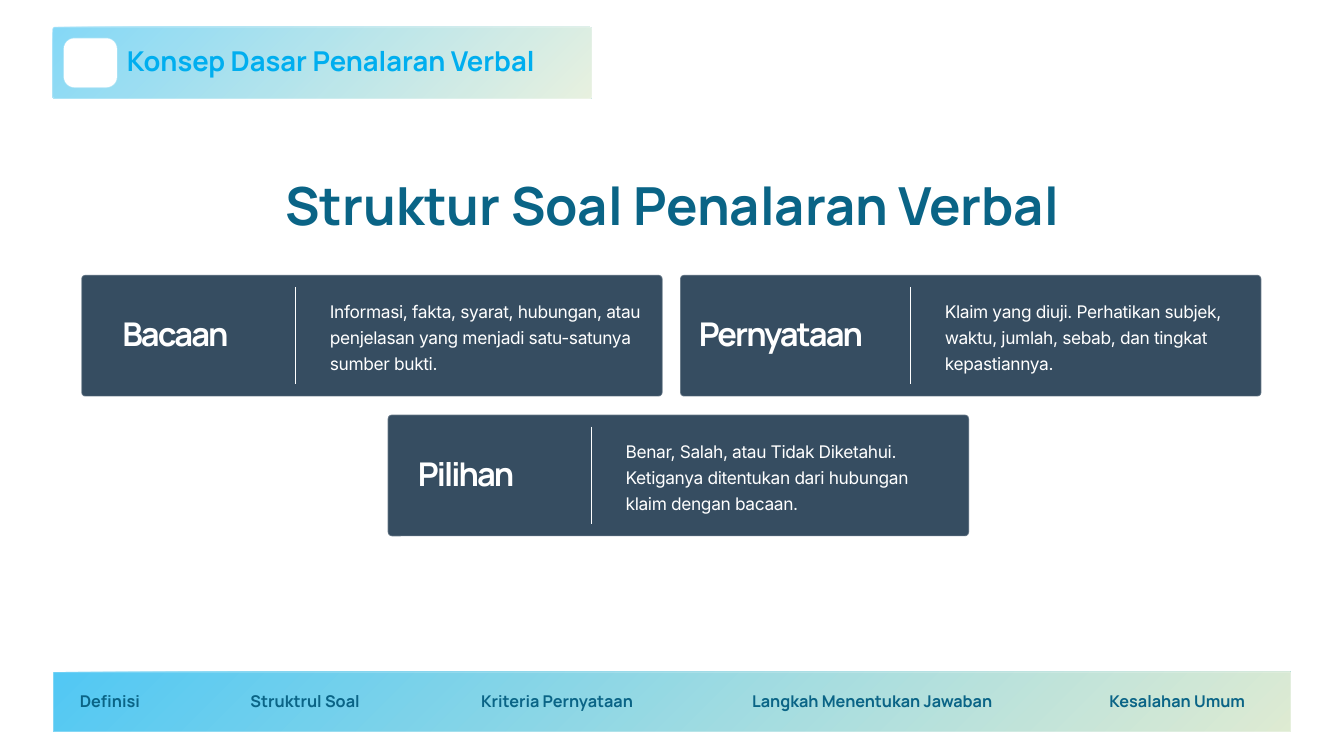
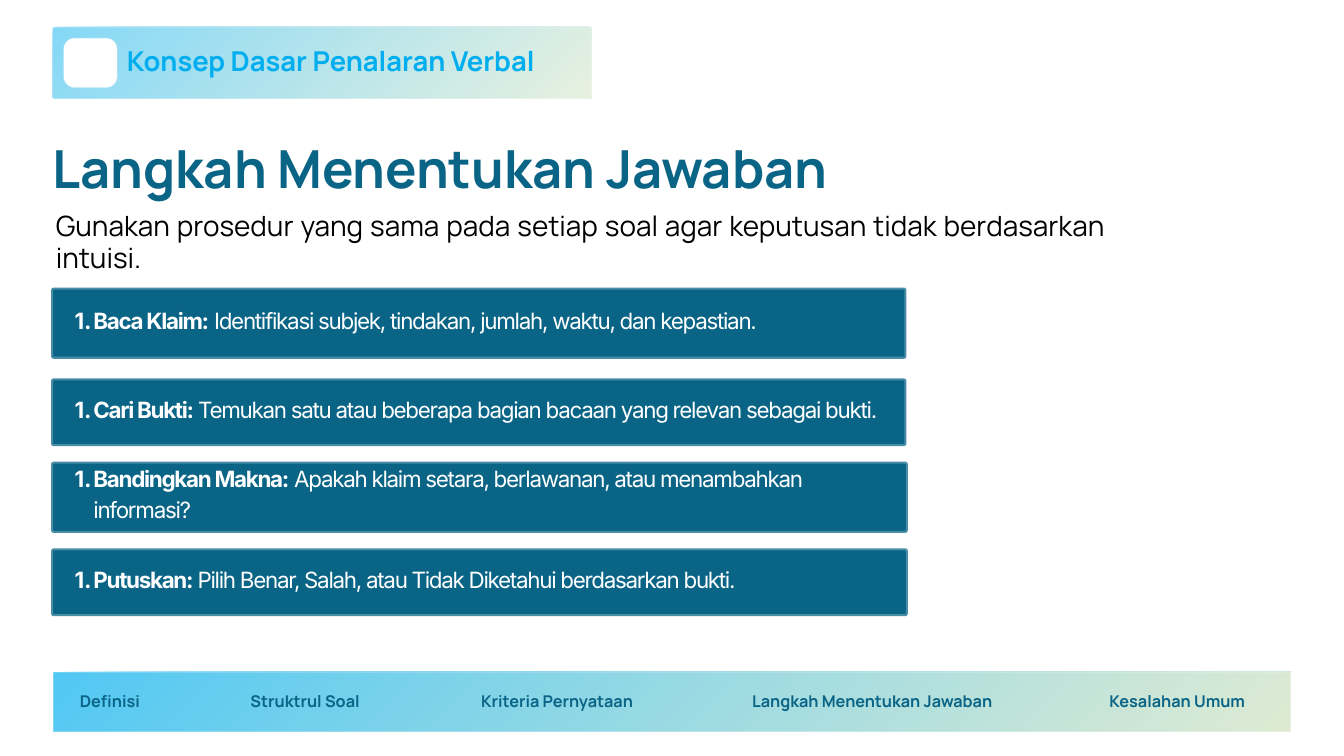
import pptx
import pptx.dml.color
import pptx.enum.shapes
import pptx.enum.text
import pptx.oxml
import pptx.oxml.ns
import pptx.util
from lxml import etree

Inches = pptx.util.Inches
Pt = pptx.util.Pt
RGB = pptx.dml.color.RGBColor.from_string
ALIGN = pptx.enum.text.PP_ALIGN
SHAPE = pptx.enum.shapes.MSO_SHAPE
qn = pptx.oxml.ns.qn

INK = {"teal": "0A6486", "slate": "364D61", "sky": "00AEEF", "lime": "CFE2BE",
       "deep": "004B66", "white": "FFFFFF", "black": "000000"}
RIM = 25  # opacity of every outline, in percent


def box(slide, x, y, w, h, fills, round_by, rim=1.5, solid=100):
    """Rounded box; two fill names make a diagonal gradient."""
    shape = slide.shapes.add_shape(SHAPE.ROUNDED_RECTANGLE, Inches(x), Inches(y),
                                   Inches(w), Inches(h))
    shape.shadow.inherit = False
    shape.adjustments[0] = round_by / min(w, h)
    if len(fills) == 2:
        shape.fill.gradient()
        shape.fill.gradient_angle = 315
        for stop, name in zip(shape.fill.gradient_stops, fills):
            stop.color.rgb = RGB(INK[name])
    else:
        shape.fill.solid()
        shape.fill.fore_color.rgb = RGB(INK[fills[0]])
    shape.line.color.rgb = RGB(INK["white"])
    shape.line.width = Pt(rim)
    tints = shape._element.spPr.findall(".//" + qn("a:srgbClr"))
    for tint, part in zip(tints, [solid] * len(fills) + [RIM]):
        if part < 100:
            etree.SubElement(tint, qn("a:alpha"), val=str(part * 1000))


def text(slide, x, y, w, h, words, size, lead, ink="teal", face="Manrope",
         bold=True, align=None, track=0, step=False):
    """One paragraph; a step is numbered, with a bold head and a plain rest."""
    frame = slide.shapes.add_textbox(Inches(x), Inches(y), Inches(w), Inches(h)).text_frame
    frame.word_wrap = True
    pad = Inches(0.06 if step else 0)
    frame.margin_left = frame.margin_right = frame.margin_top = frame.margin_bottom = pad
    para = frame.paragraphs[0]
    para.line_spacing = Pt(lead)
    if align:
        para.alignment = align
    if step:
        frame.vertical_anchor = pptx.enum.text.MSO_ANCHOR.MIDDLE
        para.level = 1
        props = para._p.get_or_add_pPr()
        props.set("marL", str(Inches(0.57)))
        props.set("indent", str(Inches(-0.28)))
        etree.SubElement(props, qn("a:buAutoNum"), type="arabicPeriod")
        for part, heavy in zip(words, (True, False)):
            run = para.add_run()
            run.text = part
            run.font.bold = heavy
    else:
        frame.auto_size = pptx.enum.text.MSO_AUTO_SIZE.SHAPE_TO_FIT_TEXT
        para.add_run().text = words
        para.font.bold = bold
    font = para.font
    font.name = face
    font.size = Pt(size)
    if isinstance(ink, tuple):
        font.fill.gradient()
        font.fill.gradient_angle = 315
        for stop, name in zip(font.fill.gradient_stops, ink):
            stop.color.rgb = RGB(INK[name])
    else:
        font.color.rgb = RGB(INK[ink])
    if track:
        para._p.pPr.find(qn("a:defRPr")).set("spc", str(round(track * 100)))


deck = pptx.Presentation()
deck.slide_width = Inches(20)
deck.slide_height = Inches(11.25)
pages = [deck.slides.add_slide(deck.slide_layouts[6]) for _ in range(2)]

# Shared header band and footer menu
menu = [("Definisi", 0.89, 1.49), ("Struktrul Soal", 3.37, 2.34),
        ("Kriteria Pernyataan", 6.57, 3.44),
        ("Langkah Menentukan Jawaban", 11.01, 3.94), ("Kesalahan Umum", 15.94, 3.16)]
for page in pages:
    box(page, 0.78, 0.4, 8.03, 1.07, ["sky", "lime"], 0.04, solid=48)
    box(page, 0.95, 0.57, 0.79, 0.73, ["white"], 0.16)
    text(page, 1.89, 0.68, 7, 0.5, "Konsep Dasar Penalaran Verbal", 29.3, 34,
         ink=("sky", "deep"))
    box(page, 0.79, 10, 18.42, 0.89, ["sky", "lime"], 0.01, solid=67)
    for label, x, w in menu:
        text(page, x, 10.3, w, 0.29, label, 17.4, 20.2, align=ALIGN.CENTER)

# Slide 1: three parts of a question
first, second = pages
text(first, 2.37, 2.6, 15.26, 0.96, "Struktur Soal Penalaran Verbal", 56.2, 65.2,
     align=ALIGN.CENTER)
# left, top, rule x, head x, head width, note width, head, note
cards = [
    (1.21, 4.09, 4.4, 1.82, 2.2, 5.11, "Bacaan",
     "Informasi, fakta, syarat, hubungan, atau penjelasan yang menjadi satu-satunya sumber bukti."),
    (10.12, 4.09, 13.55, 10.4, 2.76, 4.74, "Pernyataan",
     "Klaim yang diuji. Perhatikan subjek, waktu, jumlah, sebab, dan tingkat kepastiannya."),
    (5.77, 6.17, 8.8, 6.22, 2.76, 4.88, "Pilihan",
     "Benar, Salah, atau Tidak Diketahui. Ketiganya ditentukan dari hubungan klaim dengan bacaan."),
]
for x, y, mid, left, wide, span, head, note in cards:
    box(first, x, y, 8.65, 1.81, ["slate"], 0.06)
    rule = first.shapes.add_connector(pptx.enum.shapes.MSO_CONNECTOR.STRAIGHT, Inches(mid),
                                      Inches(y + 0.18), Inches(mid), Inches(y + 1.63))
    rule.line.color.rgb = RGB(INK["white"])
    rule.line.width = Pt(0.75)
    etree.SubElement(rule._element.spPr, qn("a:effectLst"))
    text(first, left, y + 0.58, wide, 0.61, head, 35, 42, ink="white", track=-2.1)
    text(first, mid + 0.51, y + 0.31, span, 1.14, note, 18.6, 28, ink="white",
         face="Inter", bold=False, track=-0.4)

# Slide 2: steps to the answer
text(second, 0.78, 2.05, 17.81, 0.97, "Langkah Menentukan Jawaban", 56.2, 65.2,
     align=ALIGN.JUSTIFY)
text(second, 0.83, 3.12, 15.61, 0.99,
     "Gunakan prosedur yang sama pada setiap soal agar keputusan tidak berdasarkan intuisi.",
     29.9, 34.7, ink="black", bold=False, align=ALIGN.JUSTIFY)
steps = [
    (4.28, 12.73, 1.06, "Baca Klaim:",
     " Identifikasi subjek, tindakan, jumlah, waktu, dan kepastian."),
    (5.63, 12.73, 1.01, "Cari Bukti: ",
     "Temukan satu atau beberapa bagian bacaan yang relevan sebagai bukti."),
    (6.87, 12.75, 1.06, "Bandingkan Makna:",
     " Apakah klaim setara, berlawanan, atau menambahkan informasi?"),
    (8.16, 12.75, 1.01, "Putuskan: ",
     "Pilih Benar, Salah, atau Tidak Diketahui berdasarkan bukti."),
]
for y, w, h, head, rest in steps:
    box(second, 0.76, y, w, h, ["teal"], 0.04, rim=4.5)
    text(second, 0.76, y - 0.16, w, h + 0.16, (head, rest), 24, 33.6, ink="white",
         face="Inter", track=-1.4, step=True)

deck.save("out.pptx")
